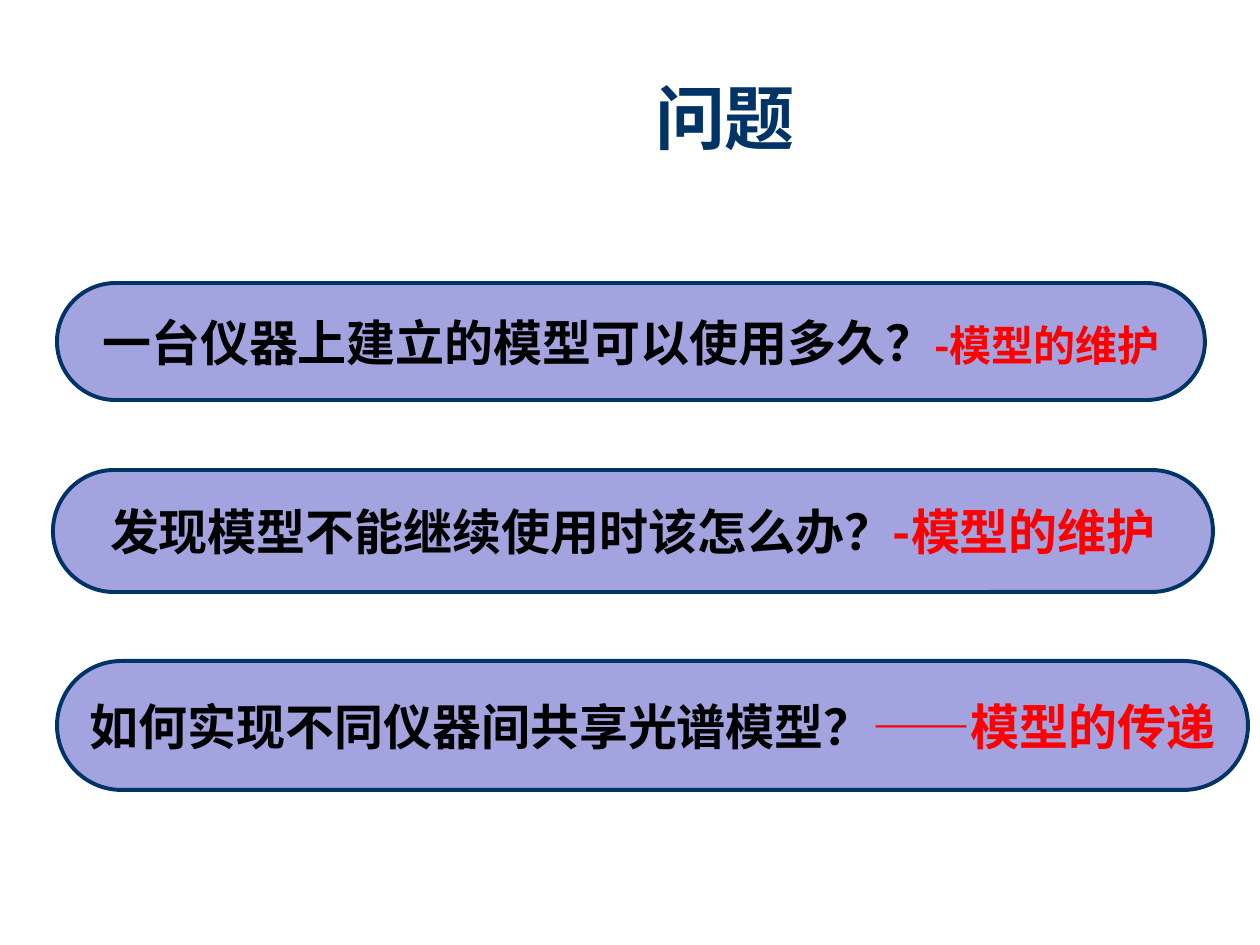
from lxml.etree import SubElement
from pptx import Presentation
from pptx.dml.color import RGBColor
from pptx.enum.shapes import MSO_SHAPE
from pptx.enum.text import MSO_ANCHOR, PP_ALIGN
from pptx.oxml.ns import qn
from pptx.util import Emu, Pt

PX_PER_INCH = 126
FONT = "Noto Sans CJK SC"
COLORS = {
    "navy": "003366",
    "lilac": "A3A3E0",
    "black": "000000",
    "red": "FF0000",
}

# Left, top, width, height, question, answer, answer size
QUESTIONS = [
    (57, 283, 1148, 117, "一台仪器上建立的模型可以使用多久？", "-模型的维护", 24),
    (53, 470, 1160, 122, "发现模型不能继续使用时该怎么办？", "-模型的维护", 28),
    (57, 661, 1191, 129, "如何实现不同仪器间共享光谱模型？", "——模型的传递", 28),
]


def px(length):
    return Emu(round(length * 914400 / PX_PER_INCH))


def color(name):
    return RGBColor.from_string(COLORS[name])


def place(shape, left, top, width, height):
    position = {"left": left, "top": top, "width": width, "height": height}
    for name, value in position.items():
        setattr(shape, name, px(value))


def add_span(para, text, size, color_name):
    span = para.add_run()
    span.text = text
    for name, value in {"name": FONT, "size": Pt(size), "bold": True}.items():
        setattr(span.font, name, value)
    span.font.color.rgb = color(color_name)
    # Chinese characters take the East Asian typeface
    SubElement(span.font._element, qn("a:ea"), typeface=FONT)


def centered_paragraph(shape, wrap):
    frame = shape.text_frame
    for name, value in {"word_wrap": wrap, "vertical_anchor": MSO_ANCHOR.MIDDLE}.items():
        setattr(frame, name, value)
    para = frame.paragraphs[0]
    para.alignment = PP_ALIGN.CENTER
    return para


def set_title(page, text):
    title = page.shapes.title
    place(title, 253, 38, 944, 158)
    add_span(centered_paragraph(title, True), text, 40, "navy")


def add_question(page, left, top, width, height, question, answer, answer_size):
    box = page.shapes.add_shape(
        MSO_SHAPE.ROUNDED_RECTANGLE, px(left), px(top), px(width), px(height)
    )
    box.adjustments[0] = 0.5
    box.shadow.inherit = False
    box.fill.solid()
    box.fill.fore_color.rgb = color("lilac")
    box.line.color.rgb = color("navy")
    box.line.width = Pt(2.25)
    para = centered_paragraph(box, False)
    add_span(para, question, 28, "black")
    add_span(para, answer, answer_size, "red")


def main():
    deck = Presentation()
    deck.slide_width, deck.slide_height = px(1260), px(945)
    page = deck.slides.add_slide(deck.slide_layouts[5])

    # Title
    set_title(page, "问题")

    # Questions with their answers
    for question in QUESTIONS:
        add_question(page, *question)

    deck.save("out.pptx")


if __name__ == "__main__":
    main()
